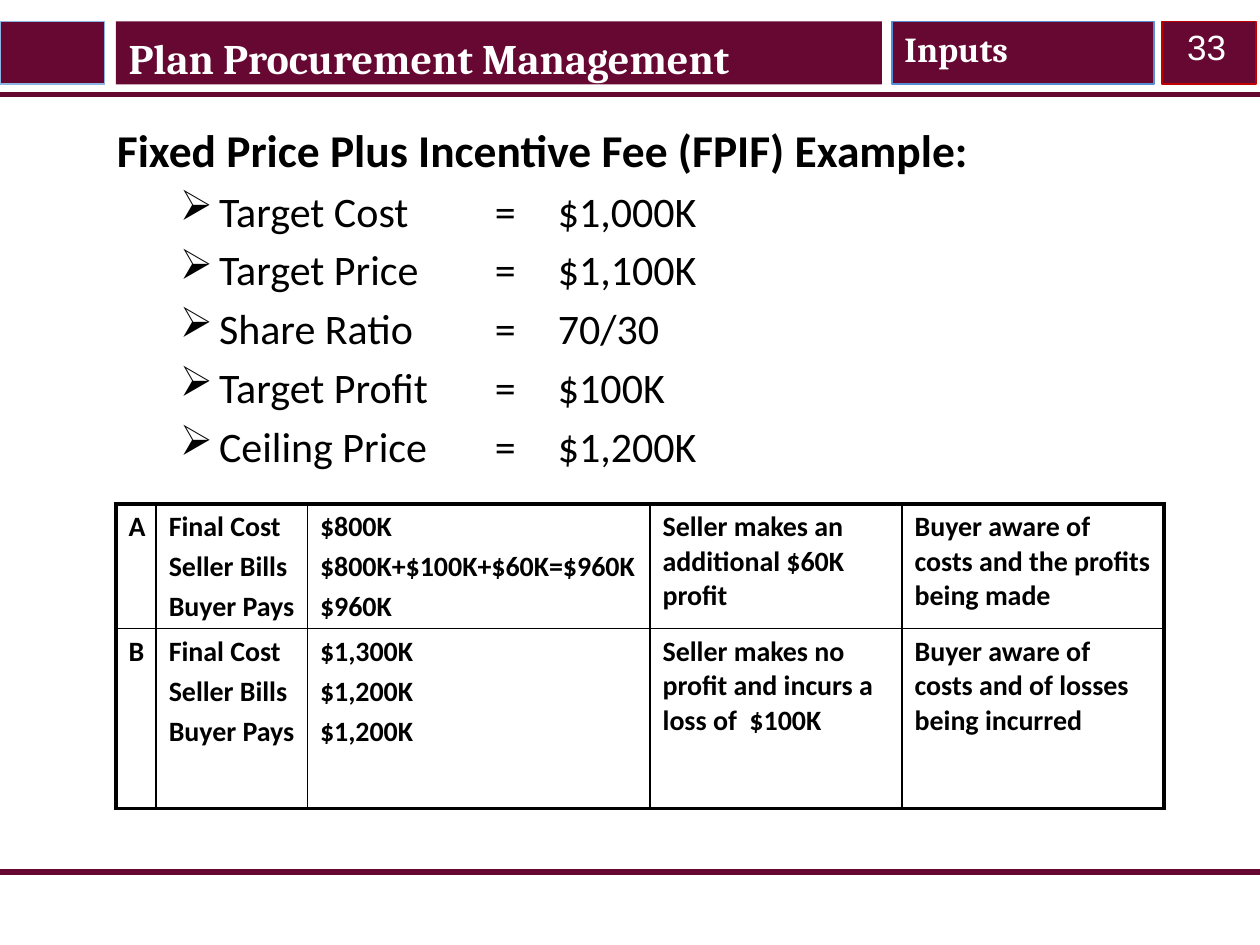
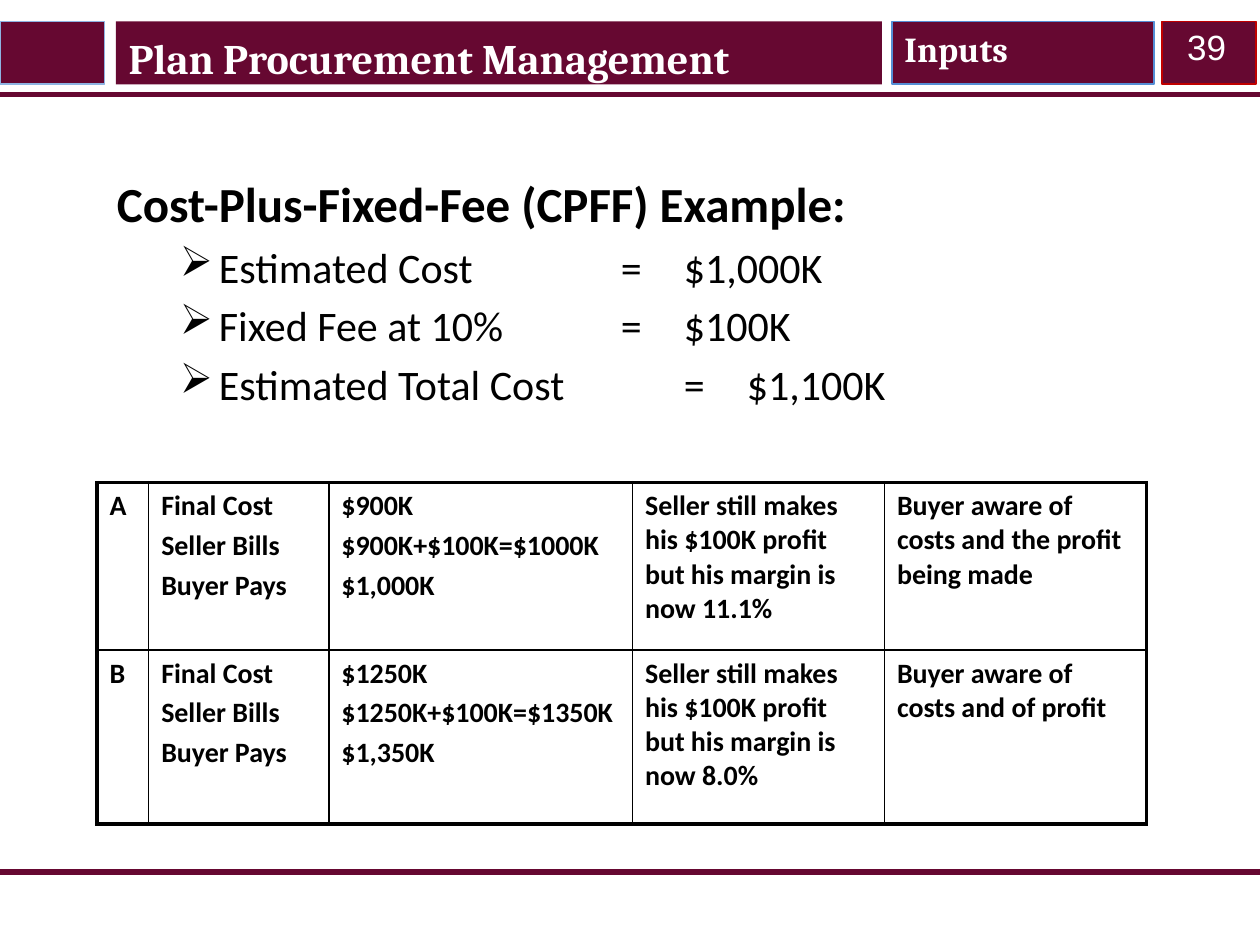
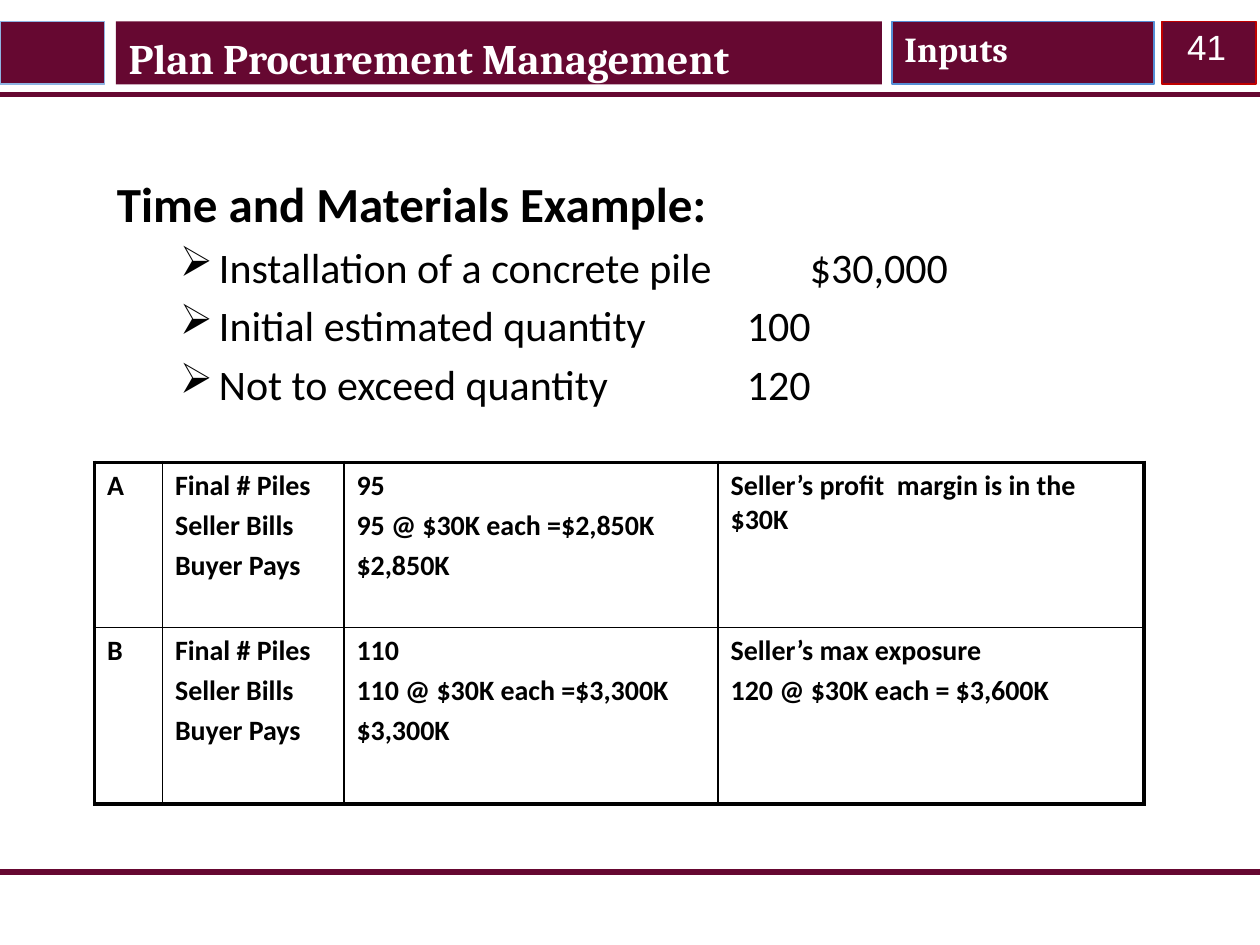
import dataclasses

import lxml.etree
import pptx
import pptx.dml.color
import pptx.enum.shapes
import pptx.enum.text
import pptx.oxml.ns
import pptx.util

Inches = pptx.util.Inches
Pt = pptx.util.Pt
qn = pptx.oxml.ns.qn
ANCHOR = pptx.enum.text.MSO_ANCHOR
ALIGN = pptx.enum.text.PP_ALIGN
AUTO_SIZE = pptx.enum.text.MSO_AUTO_SIZE


def rgb(value):
    return pptx.dml.color.RGBColor.from_string(value)


def font(name, size, color, bold=False):
    return {"name": name, "size": Pt(size), "bold": bold, "color": color}


@dataclasses.dataclass(frozen=True)
class Theme:
    band: str = "660831"
    ink: str = "000000"
    white: str = "FFFFFF"
    number_edge: str = "C00000"
    left_edge: str = "8EB4E3"
    section_edge: str = "558ED5"
    rule: float = 3
    frame: float = 2.25
    grid: float = 1

    def title(self):
        return font("Cambria", 24, self.white, True)

    def section(self):
        return font("Cambria", 20, self.white, True)

    def number(self):
        return font("Arial", 20, self.white)

    def heading(self, size):
        return font("Calibri", size, self.ink, True)

    def item(self):
        return font("Calibri", 24, self.ink)

    def cell(self):
        return font("Calibri", 16, self.ink, True)


class Deck:
    """Holds the theme, the presentation and the slide being built."""

    def __init__(self, theme):
        self.theme = theme
        self.prs = pptx.Presentation()
        self.prs.slide_width, self.prs.slide_height = Inches(10), Inches(7.5)
        self.s = None

    def add_text(self, p, text, fmt):
        r = p.add_run()
        r.text = text
        for key, value in fmt.items():
            if key == "color":
                r.font.color.rgb = rgb(value)
            else:
                setattr(r.font, key, value)

    def space_before(self, p):
        pPr = p._p.get_or_add_pPr()
        before = lxml.etree.SubElement(pPr, qn("a:spcBef"))
        lxml.etree.SubElement(before, qn("a:spcPct"), val="20000")
        return pPr

    def bullet(self, p):
        p.level = 1
        pPr = self.space_before(p)
        pPr.set("marL", str(Inches(0.81)))
        pPr.set("indent", str(Inches(-0.31)))
        color = lxml.etree.SubElement(pPr, qn("a:buClr"))
        lxml.etree.SubElement(color, qn("a:srgbClr"), val=self.theme.ink)
        lxml.etree.SubElement(pPr, qn("a:buChar"), char="➢")

    def band(self, left, width, edge=None):
        sp = self.s.shapes.add_shape(
            pptx.enum.shapes.MSO_SHAPE.RECTANGLE,
            Inches(left), Inches(0.17), Inches(width), Inches(0.5))
        sp.shadow.inherit = False
        sp.fill.solid()
        sp.fill.fore_color.rgb = rgb(self.theme.band)
        if edge:
            sp.line.color.rgb = rgb(edge)
            sp.line.width = Pt(1)
        else:
            sp.line.fill.background()

    def rule(self, y):
        sp = self.s.shapes.add_connector(
            pptx.enum.shapes.MSO_CONNECTOR.STRAIGHT,
            Inches(0), Inches(y), Inches(10), Inches(y))
        sp.line.color.rgb = rgb(self.theme.band)
        sp.line.width = Pt(self.theme.rule)
        lxml.etree.SubElement(sp._element.spPr, qn("a:effectLst"))

    def text_box(self, left, top, width, height, anchor=ANCHOR.TOP):
        sp = self.s.shapes.add_textbox(
            Inches(left), Inches(top), Inches(width), Inches(height))
        tf = sp.text_frame
        tf.word_wrap = True
        tf.vertical_anchor = anchor
        return tf

    def title(self, text):
        sp = self.s.shapes.title
        self.s.shapes.element.append(sp.element)
        place = {"left": 0.92, "top": 0.25, "width": 6.08, "height": 0.42}
        for key, value in place.items():
            setattr(sp, key, Inches(value))
        tf = sp.text_frame
        tf.auto_size = AUTO_SIZE.NONE
        tf.vertical_anchor = ANCHOR.MIDDLE
        p = tf.paragraphs[0]
        p.alignment = ALIGN.LEFT
        self.add_text(p, text, self.theme.title())

    def slide(self, number):
        self.s = self.prs.slides.add_slide(self.prs.slide_layouts[5])
        t = self.theme
        self.band(9.22, 0.75, t.number_edge)
        self.rule(0.75)
        self.band(0, 0.83, t.left_edge)
        self.band(0.92, 6.08)
        self.band(7.08, 2.08, t.section_edge)
        self.rule(6.92)
        p = self.text_box(9, 0.17, 0.83, 0.4, ANCHOR.MIDDLE).paragraphs[0]
        p.alignment = ALIGN.RIGHT
        self.add_text(p, number, t.number())
        tf = self.text_box(7.08, 0.17, 2.18, 0.43)
        tf.auto_size = AUTO_SIZE.SHAPE_TO_FIT_TEXT
        self.add_text(tf.paragraphs[0], "Inputs", t.section())
        self.title("Plan Procurement Management")

    def example(self, box, heading, size, items):
        tf = self.text_box(*box)
        p = tf.paragraphs[0]
        self.space_before(p)
        self.add_text(p, heading, self.theme.heading(size))
        for item in items:
            p = tf.add_paragraph()
            self.bullet(p)
            self.add_text(p, item, self.theme.item())

    def borders(self, cell, outer):
        tcPr = cell._tc.get_or_add_tcPr()
        for i, (side, is_outer) in enumerate(outer.items()):
            weight = self.theme.frame if is_outer else self.theme.grid
            ln = lxml.etree.Element(qn("a:ln" + side), w=str(Pt(weight)))
            fill = lxml.etree.SubElement(ln, qn("a:solidFill"))
            lxml.etree.SubElement(fill, qn("a:srgbClr"), val=self.theme.ink)
            tcPr.insert(i, ln)

    def table(self, left, top, cols, heights, rows):
        tbl = self.s.shapes.add_table(
            len(rows), len(cols), Inches(left), Inches(top),
            Inches(sum(cols)), Inches(sum(heights))).table
        tbl.first_row = tbl.horz_banding = False
        for column, width in zip(tbl.columns, cols):
            column.width = Inches(width)
        for i, (row, height) in enumerate(zip(rows, heights)):
            tbl.rows[i].height = Inches(height)
            for j, text in enumerate(row):
                cell = tbl.cell(i, j)
                cell.fill.background()
                self.borders(cell, {"L": j == 0, "R": j == len(cols) - 1,
                                    "T": i == 0, "B": i == len(rows) - 1})
                tf = cell.text_frame
                for k, line in enumerate(text.split("\n")):
                    p = tf.add_paragraph() if k else tf.paragraphs[0]
                    self.space_before(p)
                    self.add_text(p, line, self.theme.cell())


COST_LABELS = "Final Cost\nSeller Bills\nBuyer Pays"
PILE_LABELS = "Final # Piles\nSeller Bills\nBuyer Pays"
LOW_BOX = (0.83, 1.33, 8.33, 2.71)

SLIDES = [
    {
        "number": "33",
        "example": ((0.83, 0.92, 8.42, 2.92),
                    "Fixed Price Plus Incentive Fee (FPIF) Example:", 26,
                    ["Target Cost\t\t=\t$1,000K",
                     "Target Price\t\t=\t$1,100K",
                     "Share Ratio\t\t=\t70/30",
                     "Target Profit\t\t=\t$100K",
                     "Ceiling Price\t\t=\t$1,200K"]),
        "table": (0.92, 4, [0.32, 1.2, 2.72, 2, 2.08], [0.58, 1.43], [
            ["A", COST_LABELS, "$800K\n$800K+$100K+$60K=$960K\n$960K",
             "Seller makes an additional $60K profit",
             "Buyer aware of costs and the profits being made"],
            ["B", COST_LABELS, "$1,300K\n$1,200K\n$1,200K",
             "Seller makes no profit and incurs a loss of  $100K",
             "Buyer aware of costs and of losses being incurred"]]),
    },
    {
        "number": "39",
        "example": (LOW_BOX, "Cost-Plus-Fixed-Fee (CPFF) Example:", 28,
                    ["Estimated Cost\t\t\t=\t$1,000K",
                     "Fixed Fee at 10%\t\t=\t$100K",
                     "Estimated Total Cost\t\t=\t$1,100K"]),
        "table": (0.77, 3.83, [0.41, 1.43, 2.41, 2, 2.08], [1.33, 1.38], [
            ["A", COST_LABELS, "$900K\n$900K+$100K=$1000K\n$1,000K",
             "Seller still makes his $100K profit but his margin is now 11.1%",
             "Buyer aware of costs and the profit being made"],
            ["B", COST_LABELS, "$1250K\n$1250K+$100K=$1350K\n$1,350K",
             "Seller still makes his $100K profit but his margin is now 8.0%",
             "Buyer aware of costs and of profit"]]),
    },
    {
        "number": "41",
        "example": (LOW_BOX, "Time and Materials Example:", 28,
                    ["Installation of a concrete pile\t\t$30,000",
                     "Initial estimated quantity\t\t100",
                     "Not to exceed quantity\t\t\t120"]),
        "table": (0.75, 3.67, [0.54, 1.44, 2.97, 3.38], [1.31, 1.4], [
            ["A", PILE_LABELS, "95\n95 @ $30K each =$2,850K\n$2,850K",
             "Seller’s profit  margin is in the $30K"],
            ["B", PILE_LABELS, "110\n110 @ $30K each =$3,300K\n$3,300K",
             "Seller’s max exposure\n120 @ $30K each = $3,600K"]]),
    },
]


def main():
    deck = Deck(Theme())
    for content in SLIDES:
        deck.slide(content["number"])
        deck.example(*content["example"])
        deck.table(*content["table"])
    deck.prs.save("out.pptx")


if __name__ == "__main__":
    main()
